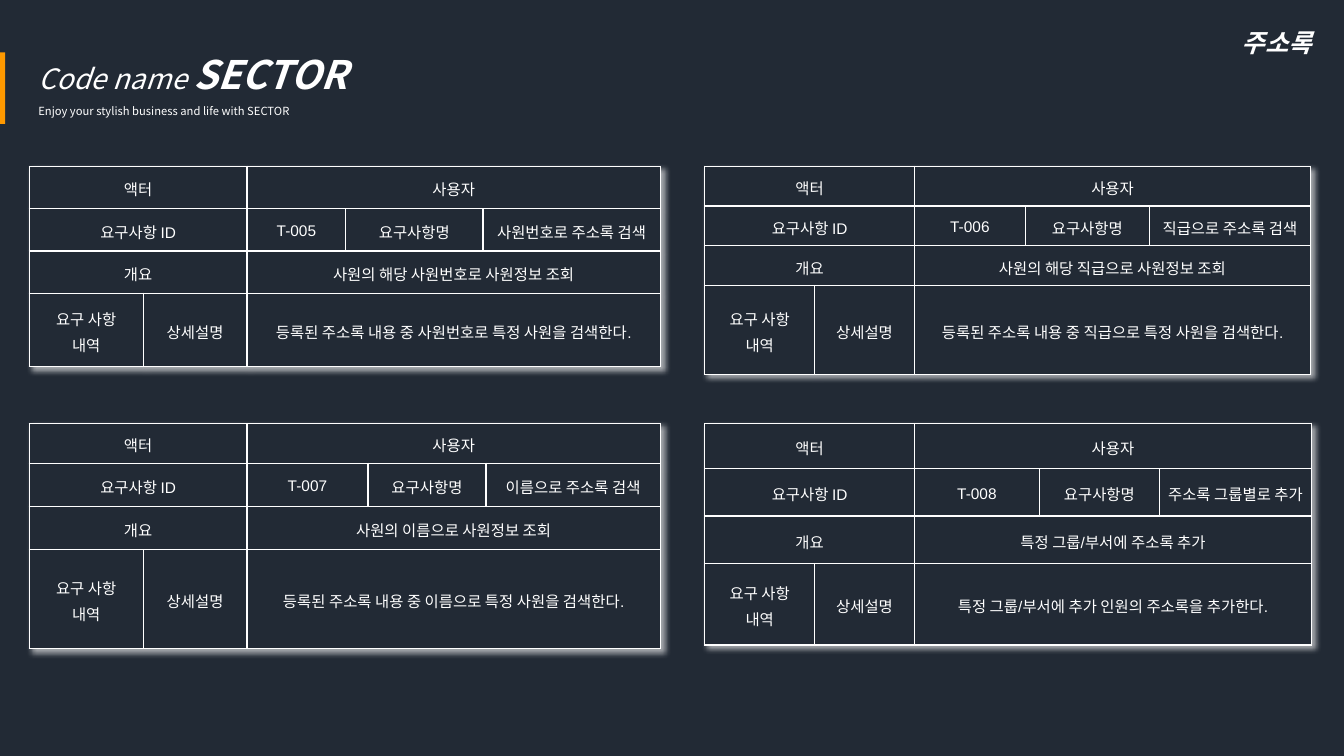
"""Build the address book requirements slide with four use-case tables."""
from lxml import etree
from pptx import Presentation
from pptx.dml.color import RGBColor
from pptx.enum.shapes import MSO_SHAPE
from pptx.enum.text import MSO_ANCHOR, MSO_AUTO_SIZE, PP_ALIGN
from pptx.oxml.ns import qn
from pptx.util import Inches, Pt

RECT = MSO_SHAPE.RECTANGLE
TOP, MIDDLE = MSO_ANCHOR.TOP, MSO_ANCHOR.MIDDLE
LEFT, CENTER = PP_ALIGN.LEFT, PP_ALIGN.CENTER
NO_FIT = MSO_AUTO_SIZE.NONE

COLORS = {"bg": "222A35", "accent": "FF9900", "text": "FFFFFF"}
TITLE_FONT, TABLE_FONT = "Noto Sans CJK KR", "Arial"

TITLE = [
    [("Code name ", 20, False, True), ("SECTOR", 28, True, True)],
    [("Enjoy your stylish business and life with SECTOR", 8, False, False)],
]
SECTION = "주소록"

LEFT_X, RIGHT_X = 0.29, 6.99
TOP_Y, BOTTOM_Y = 1.65, 4.2

REQUIREMENTS = [
    {"id": "T-006", "name": "직급으로 주소록 검색",
     "summary": "사원의 해당 직급으로 사원정보 조회",
     "detail": "등록된 주소록 내용 중 직급으로 특정 사원을 검색한다.",
     "at": (RIGHT_X, TOP_Y), "cols": (1.09, 0.99, 1.1, 1.23, 1.6),
     "rows": (0.37, 0.37, 0.37, 0.88)},
    {"id": "T-007", "name": "이름으로 주소록 검색",
     "summary": "사원의 이름으로 사원정보 조회",
     "detail": "등록된 주소록 내용 중 이름으로 특정 사원을 검색한다.",
     "at": (LEFT_X, BOTTOM_Y), "cols": (1.13, 1.03, 1.2, 1.17, 1.73),
     "rows": (0.37, 0.43, 0.43, 0.98)},
    {"id": "T-008", "name": "주소록 그룹별로 추가",
     "summary": "특정 그룹/부서에 주소록 추가",
     "detail": "특정 그룹/부서에 추가 인원의 주소록을 추가한다.",
     "at": (RIGHT_X, BOTTOM_Y), "cols": (1.09, 0.99, 1.24, 1.19, 1.51),
     "rows": (0.45, 0.47, 0.47, 0.81)},
    {"id": "T-005", "name": "사원번호로 주소록 검색",
     "summary": "사원의 해당 사원번호로 사원정보 조회",
     "detail": "등록된 주소록 내용 중 사원번호로 특정 사원을 검색한다.",
     "at": (LEFT_X, TOP_Y), "cols": (1.13, 1.03, 0.98, 1.36, 1.76),
     "rows": (0.42, 0.42, 0.42, 0.73)},
]


def rgb(name):
    return RGBColor.from_string(COLORS[name])


def style(r, font, size, bold=False, italic=False):
    r.font.name, r.font.size = font, Pt(size)
    r.font.bold, r.font.italic = bold, italic
    r.font.color.rgb = rgb("text")


def add_color(parent, name):
    return etree.SubElement(parent, qn("a:srgbClr"), val=COLORS[name])


def add_borders(cell):
    tc_pr = cell._tc.get_or_add_tcPr()
    for i, side in enumerate(("lnL", "lnR", "lnT", "lnB")):
        ln = etree.Element(qn(f"a:{side}"), w=str(Pt(1)))
        add_color(etree.SubElement(ln, qn("a:solidFill")), "text")
        tc_pr.insert(i, ln)


def add_shadow(table):
    effects = etree.Element(qn("a:effectLst"))
    shadow = etree.SubElement(
        effects, qn("a:outerShdw"), blurRad=str(Pt(4)), dist=str(Pt(3)),
        dir="2700000", algn="tl", rotWithShape="0")
    etree.SubElement(add_color(shadow, "text"), qn("a:alpha"), val="60000")
    table._tbl.tblPr.insert(0, effects)


def fill_cell(cell, text):
    cell.text_frame.text = text
    cell.vertical_anchor = MIDDLE
    for p in cell.text_frame.paragraphs:
        p.alignment, p.line_spacing = CENTER, 1.15
        p.space_before = p.space_after = Pt(12)
        for r in p.runs:
            style(r, TABLE_FONT, 11)


def add_requirement(slide, req):
    cells = [
        (0, 0, 2, "액터"), (0, 2, 3, "사용자"),
        (1, 0, 2, "요구사항 ID"), (1, 2, 1, req["id"]),
        (1, 3, 1, "요구사항명"), (1, 4, 1, req["name"]),
        (2, 0, 2, "개요"), (2, 2, 3, req["summary"]),
        (3, 0, 1, "요구 사항\v내역"), (3, 1, 1, "상세설명"),
        (3, 2, 3, req["detail"]),
    ]
    cols, rows = req["cols"], req["rows"]
    box = (*req["at"], sum(cols), sum(rows))
    table = slide.shapes.add_table(len(rows), len(cols), *map(Inches, box)).table
    for col, width in zip(table.columns, cols):
        col.width = Inches(width)
    for row, height in zip(table.rows, rows):
        row.height = Inches(height)
    for cell in table.iter_cells():
        cell.margin_left = cell.margin_right = Inches(0.07)
        cell.margin_top = cell.margin_bottom = Inches(0.07)
        cell.fill.solid()
        cell.fill.fore_color.rgb = rgb("bg")
        add_borders(cell)
    for row, col, span, text in cells:
        cell = table.cell(row, col)
        if span > 1:
            cell.merge(table.cell(row, col + span - 1))
        fill_cell(cell, text)
    add_shadow(table)


def add_title(slide):
    sp = slide.shapes.title
    sp.left, sp.top, sp.width, sp.height = map(Inches, (0.28, 0.22, 6.03, 1.01))
    tf = sp.text_frame
    tf.auto_size, tf.vertical_anchor, tf.word_wrap = NO_FIT, TOP, True
    tf.text = "\n".join("".join(part[0] for part in line) for line in TITLE)
    for p, line in zip(tf.paragraphs, TITLE):
        p.alignment, p.line_spacing = LEFT, 1.5
        p.text = ""
        for text, size, bold, italic in line:
            r = p.add_run()
            r.text = text
            style(r, TITLE_FONT, size, bold, italic)


prs = Presentation()
prs.slide_width, prs.slide_height = Inches(13.33), Inches(7.5)
slide = prs.slides.add_slide(prs.slide_layouts[5])
slide.background.fill.solid()
slide.background.fill.fore_color.rgb = rgb("bg")

bar = slide.shapes.add_shape(RECT, *map(Inches, (0, 0.52, 0.05, 0.71)))
bar.shadow.inherit = False
bar.fill.solid()
bar.fill.fore_color.rgb = rgb("accent")
bar.line.fill.background()

add_title(slide)
for req in REQUIREMENTS:
    add_requirement(slide, req)

section = slide.shapes.add_textbox(*map(Inches, (12.22, 0.22, 0.96, 0.4)))
section.text_frame.word_wrap = False
section.text_frame.text = SECTION
style(section.text_frame.paragraphs[0].runs[0], TITLE_FONT, 18, True, True)

prs.save("out.pptx")
